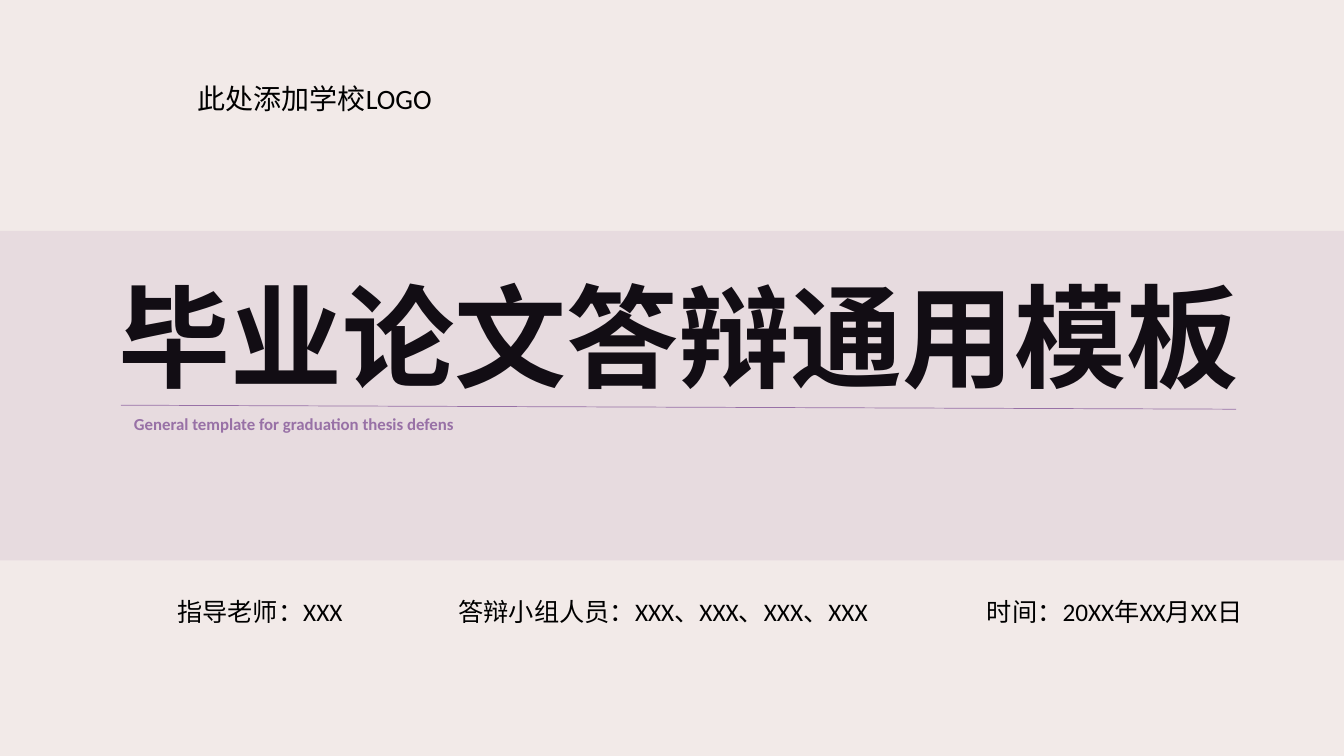
from dataclasses import dataclass

from lxml import etree
from pptx import Presentation
from pptx.dml.color import RGBColor
from pptx.enum.shapes import MSO_CONNECTOR, MSO_SHAPE
from pptx.enum.text import MSO_AUTO_SIZE, PP_ALIGN
from pptx.oxml.ns import qn
from pptx.util import Inches, Pt

LINE = MSO_CONNECTOR.STRAIGHT
RECTANGLE = MSO_SHAPE.RECTANGLE
GROW = MSO_AUTO_SIZE.SHAPE_TO_FIT_TEXT
LEFT, JUSTIFY = PP_ALIGN.LEFT, PP_ALIGN.JUSTIFY

BLACK = RGBColor(0x00, 0x00, 0x00)
ROSE = RGBColor(0xDE, 0xC9, 0xC6)
PURPLE = RGBColor(0x98, 0x71, 0xA6)
FONT = "Calibri"

# Grid: 100 columns by 100 rows over the whole slide
WIDTH, HEIGHT = Inches(13.33), Inches(7.5)
DETAIL_ROW = 78.27


def columns(count: float) -> int:
    return round(WIDTH * count / 100)


def rows(count: float) -> int:
    return round(HEIGHT * count / 100)


@dataclass(frozen=True)
class Area:
    left: float
    top: float
    width: float
    height: float

    def place(self) -> tuple[int, int, int, int]:
        return columns(self.left), rows(self.top), columns(self.width), rows(self.height)


@dataclass(frozen=True)
class Detail:
    text: str
    left: float
    width: float


DETAILS = (
    Detail("指导老师：XXX", 12.45, 14.85),
    Detail("答辩小组人员：XXX、XXX、XXX、XXX", 33.38, 33.3),
    Detail("时间：20XX年XX月XX日", 72.7, 22.95),
)


def add_panel(page, area: Area, color: RGBColor, opacity: int) -> None:
    """Draw a borderless rectangle with the given opacity in percent."""
    panel = page.shapes.add_shape(RECTANGLE, *area.place())
    panel.shadow.inherit = False
    panel.line.fill.background()
    panel.fill.solid()
    panel.fill.fore_color.rgb = color
    tint = panel._element.spPr.find(qn("a:solidFill"))[0]
    etree.SubElement(tint, qn("a:alpha"), val=str(opacity * 1000))


def add_text(page, text: str, area: Area, *, size: float, color: RGBColor = BLACK,
             bold: bool = False, align: PP_ALIGN = LEFT) -> None:
    box = page.shapes.add_textbox(*area.place())
    frame = box.text_frame
    frame.word_wrap = True
    frame.auto_size = GROW
    para = frame.paragraphs[0]
    para.alignment = align
    span = para.add_run()
    span.text = text
    span.font.name = FONT
    span.font.size = Pt(size)
    span.font.bold = bold
    span.font.color.rgb = color


def add_rule(page, start: tuple[float, float], end: tuple[float, float]) -> None:
    rule = page.shapes.add_connector(
        LINE, columns(start[0]), rows(start[1]), columns(end[0]), rows(end[1]))
    rule.line.color.rgb = PURPLE
    rule.line.width = Pt(0.5)
    etree.SubElement(rule._element.spPr, qn("a:effectLst"))


def main() -> None:
    deck = Presentation()
    deck.slide_width, deck.slide_height = WIDTH, HEIGHT
    page = deck.slides.add_slide(deck.slide_layouts[6])

    # Backdrop and school line
    add_panel(page, Area(0, 0, 100, 100), ROSE, 39)
    add_text(page, "此处添加学校LOGO", Area(13.95, 10.13, 21.38, 5.87), size=20)

    # Title block, tinted by the band in front of it
    add_text(page, "毕业论文答辩通用模板", Area(8.1, 34.8, 88.97, 19.33), size=80, bold=True)
    add_text(page, "General template for graduation thesis defens",
             Area(9.23, 54.13, 82.52, 4), size=12, color=PURPLE, bold=True, align=JUSTIFY)
    add_rule(page, (9, 53.6), (91.97, 54.13))
    add_panel(page, Area(0, 30.53, 100, 43.6), PURPLE, 12)

    # Details along the bottom
    for detail in DETAILS:
        add_text(page, detail.text, Area(detail.left, DETAIL_ROW, detail.width, 5.33), size=18)

    deck.save("out.pptx")


if __name__ == "__main__":
    main()
